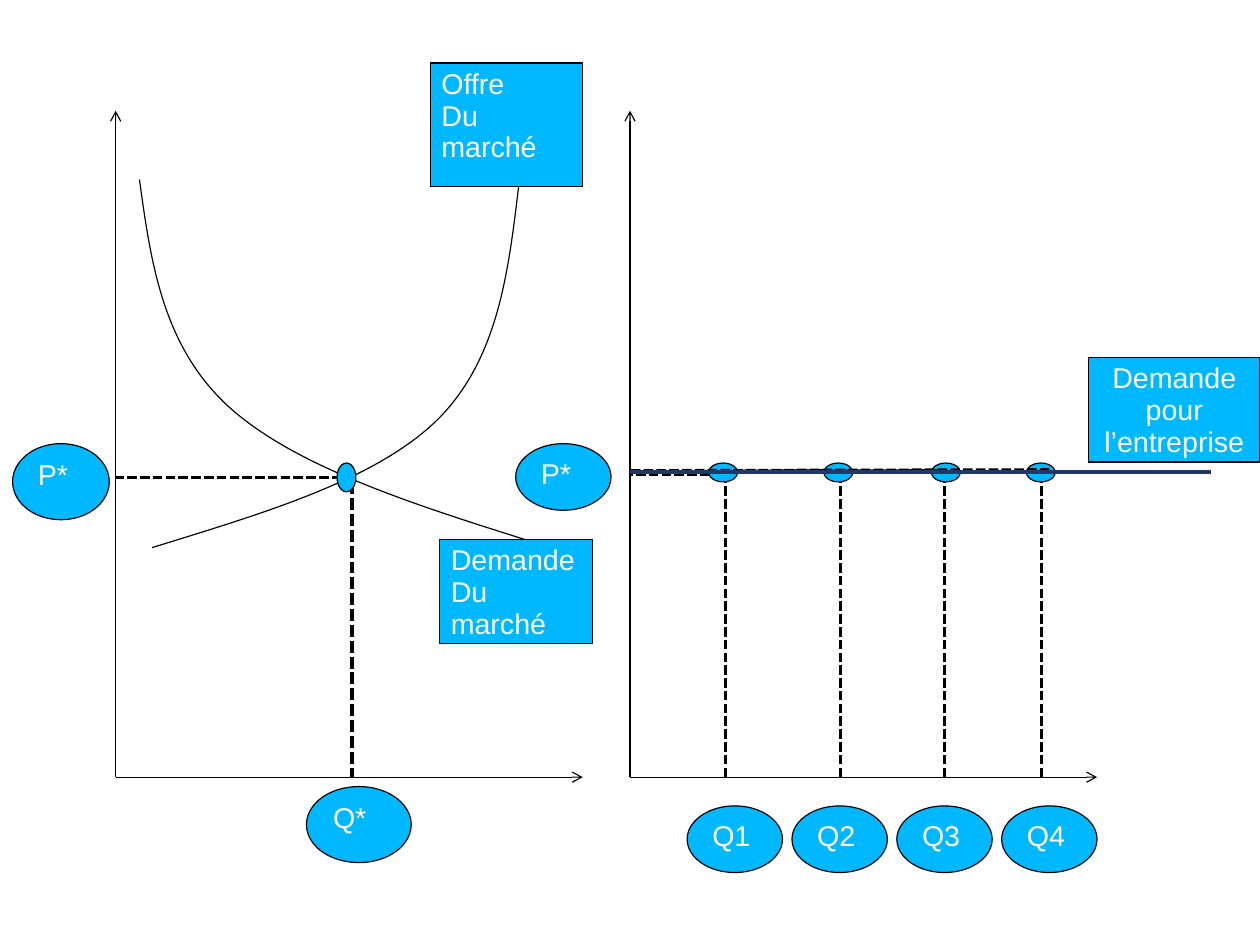
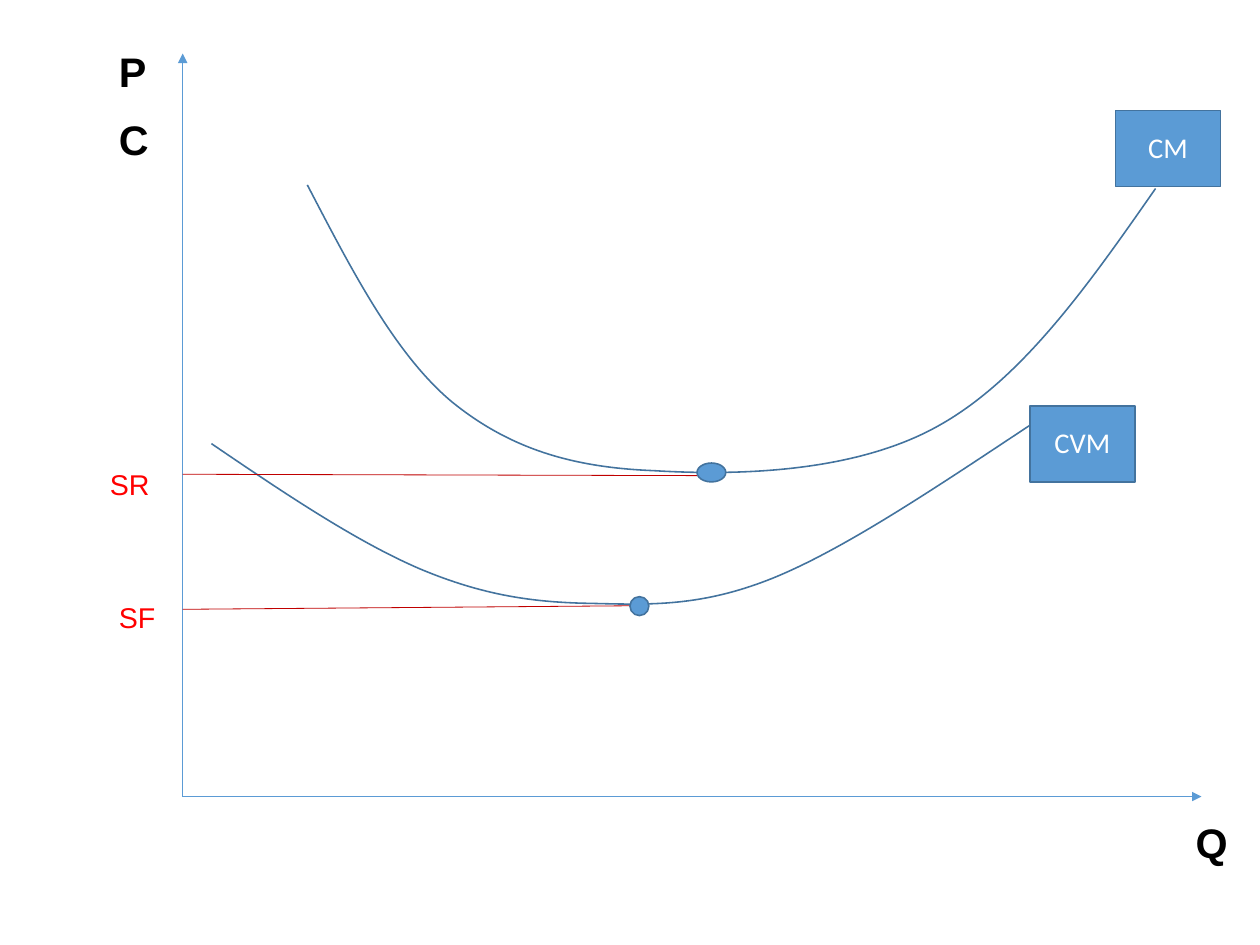
"""Two slides on market price, firm demand and cost curves."""
from dataclasses import dataclass

from pptx import Presentation
from pptx.dml.color import RGBColor
from pptx.enum.dml import MSO_LINE
from pptx.enum.shapes import MSO_CONNECTOR, MSO_SHAPE
from pptx.enum.text import MSO_ANCHOR, PP_ALIGN
from pptx.oxml.ns import qn
from pptx.oxml.xmlchemy import OxmlElement as Node
from pptx.slide import Slide
from pptx.text.text import TextFrame
from pptx.util import Cm, Pt

BLACK = RGBColor(0x00, 0x00, 0x00)
WHITE = RGBColor(0xFF, 0xFF, 0xFF)
CYAN = RGBColor(0x00, 0xB8, 0xFF)
NAVY = RGBColor(0x20, 0x38, 0x64)
BLUE = RGBColor(0x5B, 0x9B, 0xD5)
STEEL = RGBColor(0x43, 0x73, 0x9E)
CRIMSON = RGBColor(0xC0, 0x00, 0x00)
RED = RGBColor(0xFF, 0x00, 0x00)

RECT = MSO_SHAPE.RECTANGLE
OVAL = MSO_SHAPE.OVAL
DOT = MSO_SHAPE.FLOWCHART_CONNECTOR

Point = tuple[float, float]


@dataclass(frozen=True)
class Pen:
    color: RGBColor
    width: float
    dash: bool = False
    head: str = ""


@dataclass(frozen=True)
class Look:
    fill: RGBColor
    pen: Pen
    font: str
    align: PP_ALIGN
    anchor: MSO_ANCHOR


@dataclass(frozen=True)
class Box:
    kind: MSO_SHAPE
    left: float
    top: float
    width: float
    height: float
    lines: tuple[str, ...] = ()
    align: PP_ALIGN | None = None


@dataclass(frozen=True)
class Label:
    lines: tuple[str, ...]
    left: float
    top: float
    width: float
    height: float
    size: int
    color: RGBColor
    bold: bool = False


THIN = Pen(BLACK, 0.75)
AXIS = Pen(BLACK, 0.75, head="arrow")
DASH = Pen(BLACK, 2, dash=True)
BOLD = Pen(BLACK, 2.5, dash=True)
PRICE = Pen(NAVY, 3)
EDGE = Pen(STEEL, 1)
FINE = Pen(BLUE, 0.5, head="triangle")
LEVEL = Pen(CRIMSON, 0.5)

MARKET = Look(CYAN, THIN, "Arial", PP_ALIGN.LEFT, MSO_ANCHOR.TOP)
COST = Look(BLUE, EDGE, "Calibri", PP_ALIGN.CENTER, MSO_ANCHOR.MIDDLE)


def line(slide: Slide, start: Point, end: Point, pen: Pen) -> None:
    """Draw a straight line, dashed or with an arrowhead if the pen says so."""
    ends = [Cm(n) for n in (*start, *end)]
    link = slide.shapes.add_connector(MSO_CONNECTOR.STRAIGHT, *ends)
    link.line.color.rgb = pen.color
    link.line.width = Pt(pen.width)
    if pen.dash:
        link.line.dash_style = MSO_LINE.SQUARE_DOT
    props = link.element.spPr
    if pen.head:
        tip = Node("a:tailEnd")
        tip.set("type", pen.head)
        props.find(qn("a:ln")).append(tip)
    props.append(Node("a:effectLst"))


def axes(slide: Slide, zero: Point, top: float, right: float, pen: Pen) -> None:
    """Draw both axes from their common zero point."""
    line(slide, zero, (zero[0], top), pen)
    line(slide, zero, (right, zero[1]), pen)


def curve(slide: Slide, points: list[Point], pen: Pen) -> None:
    """Draw a chain of cubic curves, three points after the start for each."""
    spots = [(Cm(x), Cm(y)) for x, y in points]
    form = slide.shapes.build_freeform(*spots[0])
    form.add_line_segments(spots[1:], close=False)
    shape = form.convert_to_shape()
    shape.shadow.inherit = False
    shape.fill.background()
    shape.line.color.rgb = pen.color
    shape.line.width = Pt(pen.width)
    steps = list(shape.element.iter(qn("a:lnTo")))
    for i in range(0, len(steps), 3):
        bend = Node("a:cubicBezTo")
        steps[i].addprevious(bend)
        for step in steps[i:i + 3]:
            bend.append(step[0])
            step.getparent().remove(step)


def write(frame: TextFrame, lines: tuple[str, ...], font: str, size: int,
          color: RGBColor, align: PP_ALIGN, bold: bool = False) -> None:
    """Fill a text frame, one paragraph for each line."""
    frame.word_wrap = True
    for i, text in enumerate(lines):
        para = frame.add_paragraph() if i else frame.paragraphs[0]
        para.text = text
        para.alignment = align
        para.line_spacing = 0.93
        para.font.name = font
        para.font.size = Pt(size)
        para.font.bold = bold
        para.font.color.rgb = color


def box(slide: Slide, item: Box, look: Look) -> None:
    """Draw a filled shape with its text, if any."""
    area = [Cm(n) for n in (item.left, item.top, item.width, item.height)]
    shape = slide.shapes.add_shape(item.kind, *area)
    shape.shadow.inherit = False
    shape.fill.solid()
    shape.fill.fore_color.rgb = look.fill
    shape.line.color.rgb = look.pen.color
    shape.line.width = Pt(look.pen.width)
    if item.lines:
        frame = shape.text_frame
        frame.vertical_anchor = look.anchor
        align = look.align if item.align is None else item.align
        write(frame, item.lines, look.font, 18, WHITE, align)


def label(slide: Slide, item: Label) -> None:
    """Add a plain text label."""
    area = [Cm(n) for n in (item.left, item.top, item.width, item.height)]
    frame = slide.shapes.add_textbox(*area).text_frame
    frame.margin_left = frame.margin_right = Cm(0.28)
    frame.margin_top = frame.margin_bottom = Cm(0.15)
    write(frame, item.lines, "Arial", item.size, item.color,
          PP_ALIGN.LEFT, item.bold)
    for para in frame.paragraphs[1:]:
        para.space_before = Pt(14)


def market(slide: Slide) -> None:
    """Draw the market balance beside the demand met by one firm."""
    base, wall, level = 17.27, 14.0, 10.49
    rays = [((16.05, 10.54), 10.54), ((18.67, 10.46), level),
            ((20.98, 10.46), level), ((23.32, 10.44), 10.46)]
    for start, end in rays[:2]:
        line(slide, start, (wall, end), DASH)
    for left in (2.57, wall):
        axes(slide, (left, base), 2.46, left + 10.38, AXIS)
    curve(slide, [(3.1, 3.99), (3.35, 5.82), (3.61, 7.65), (5.03, 8.99),
                  (6.48, 10.34), (9.09, 11.18), (11.73, 12.01)], THIN)
    curve(slide, [(3.38, 12.17), (5.87, 11.4), (8.36, 10.67), (9.73, 9.32),
                  (11.07, 7.98), (11.3, 6.05), (11.53, 4.11)], THIN)
    line(slide, (7.82, 10.72), (7.82, base), BOLD)
    line(slide, (7.87, 10.62), (2.57, 10.62), DASH)
    for item in (
        Box(RECT, 9.56, 1.4, 3.39, 2.74, ("Offre", "Du marché")),
        Box(RECT, 9.77, 11.99, 3.39, 2.32, ("Demande", "Du", "marché")),
        Box(OVAL, 6.81, 17.48, 2.33, 1.69, ("Q*",)),
        Box(OVAL, 0.28, 9.86, 2.15, 1.69, ("P*",)),
        Box(DOT, 7.49, 10.29, 0.42, 0.64),
        Box(DOT, 11.46, 9.86, 2.12, 1.48, ("P*",)),
    ):
        box(slide, item, MARKET)
    for i in range(4):
        name = f"Q{i + 1}"
        box(slide, Box(DOT, 15.27 + 2.33 * i, 17.91, 2.12, 1.48, (name,)), MARKET)
    for x in (16.13, 18.67, 20.98, 23.14):
        line(slide, (x, base), (x, level), DASH)
    for x in (15.75, 18.31, 20.7, 22.81):
        box(slide, Box(DOT, x, 10.29, 0.64, 0.42), MARKET)
    for start, end in rays[2:]:
        line(slide, start, (wall, end), DASH)
    line(slide, (wall, level), (26.92, level), PRICE)
    box(slide, Box(RECT, 24.19, 7.95, 3.81, 2.32,
                   ("Demande pour l’entreprise",), PP_ALIGN.CENTER), MARKET)


def costs(slide: Slide) -> None:
    """Draw the two average cost curves and their lowest points."""
    wall = 4.06
    axes(slide, (wall, 17.7), 1.19, 26.7, FINE)
    curve(slide, [(6.83, 4.11), (7.8, 5.97), (8.76, 7.85), (10.03, 8.92),
                  (11.33, 9.98), (12.73, 10.39), (14.53, 10.46),
                  (16.33, 10.57), (19, 10.52), (20.88, 9.45),
                  (22.73, 8.41), (24.21, 6.3), (25.68, 4.19)], EDGE)
    curve(slide, [(4.7, 9.86), (6.3, 10.95), (7.92, 12.04), (9.35, 12.65),
                  (10.74, 13.23), (11.84, 13.39), (13.16, 13.41),
                  (14.45, 13.44), (15.6, 13.49), (17.22, 12.83),
                  (18.82, 12.17), (20.85, 10.8), (22.89, 9.45)], EDGE)
    line(slide, (wall, 10.54), (15.7, 10.57), LEVEL)
    line(slide, (wall, 13.54), (14.22, 13.46), LEVEL)
    for item in (
        Box(RECT, 24.79, 2.46, 2.33, 1.69, ("CM",)),
        Box(RECT, 22.89, 9.02, 2.33, 1.69, ("CVM",)),
    ):
        box(slide, item, COST)
    for item in (
        Label(("SR",), 2.16, 10.29, 2.79, 0.99, 18, RED),
        Label(("SF",), 2.36, 13.26, 2.79, 0.99, 18, RED),
        Label(("Q",), 26.29, 18.11, 1.27, 1.32, 26, BLACK, True),
        Label(("P", "C"), 2.36, 0.97, 1.27, 2.9, 26, BLACK, True),
    ):
        label(slide, item)
    for item in (
        Box(DOT, 15.49, 10.29, 0.64, 0.42),
        Box(DOT, 14.0, 13.26, 0.42, 0.42),
    ):
        box(slide, item, COST)


def main() -> None:
    """Build and save the deck."""
    deck = Presentation()
    deck.slide_width, deck.slide_height = Cm(28), Cm(21)
    for draw in (market, costs):
        draw(deck.slides.add_slide(deck.slide_layouts[6]))
    deck.save("out.pptx")


if __name__ == "__main__":
    main()
